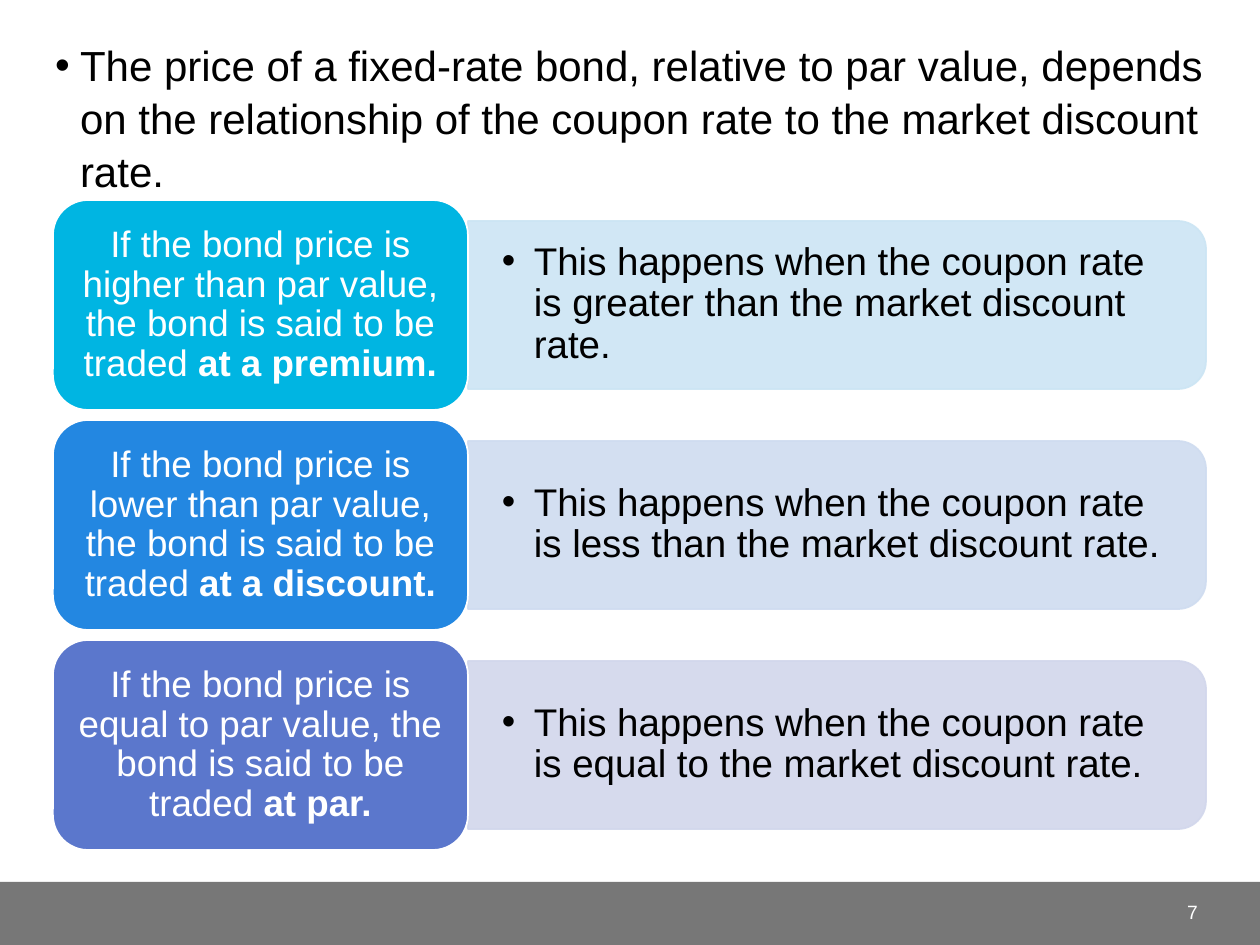
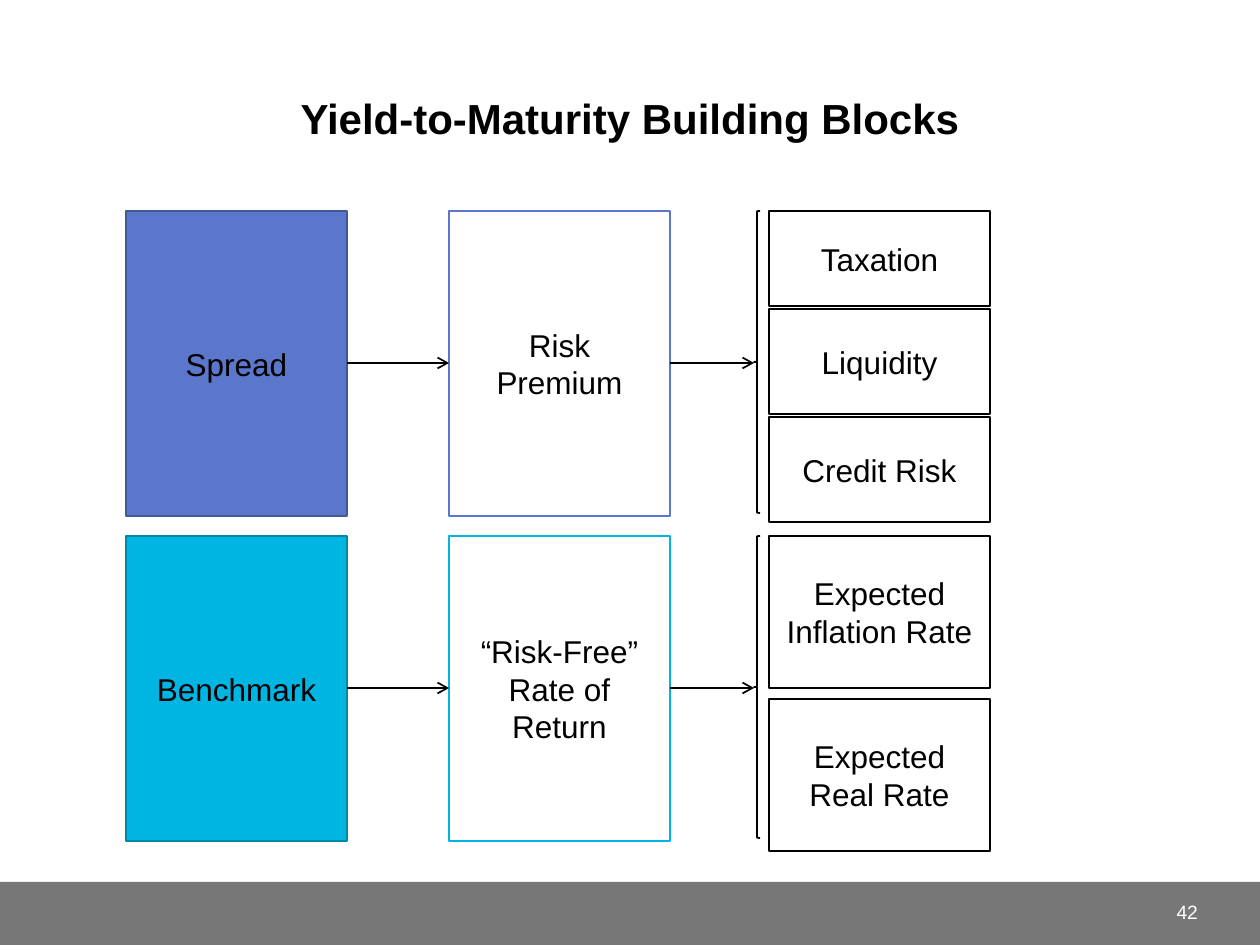
from dataclasses import dataclass
from pptx import Presentation
from pptx.dml.color import RGBColor
from pptx.enum.shapes import MSO_CONNECTOR, MSO_SHAPE
from pptx.enum.text import MSO_ANCHOR, MSO_AUTO_SIZE, PP_ALIGN
from pptx.oxml.ns import qn
from pptx.oxml.xmlchemy import OxmlElement
from pptx.util import Pt

LEFT, CENTER, RIGHT = PP_ALIGN.LEFT, PP_ALIGN.CENTER, PP_ALIGN.RIGHT
TOP, MIDDLE = MSO_ANCHOR.TOP, MSO_ANCHOR.MIDDLE
NO_AUTOFIT = MSO_AUTO_SIZE.NONE
RECTANGLE, ROUNDED = MSO_SHAPE.RECTANGLE, MSO_SHAPE.ROUNDED_RECTANGLE
TAB, BRACE = MSO_SHAPE.ROUND_2_SAME_RECTANGLE, MSO_SHAPE.LEFT_BRACE
STRAIGHT = MSO_CONNECTOR.STRAIGHT
TITLE_AND_CONTENT, TITLE_ONLY = 1, 5
EMU_PER_PX = 914400 / 126
SLIDE_WIDTH, SLIDE_HEIGHT = 1260, 945


def px(length):
    return round(length * EMU_PER_PX)


@dataclass(frozen=True)
class Theme:
    font: str = "Arial"
    black: str = "000000"
    white: str = "FFFFFF"
    band: str = "777777"
    cyan: str = "00B5E2"
    cyan_dark: str = "0086A7"
    cyan_pale: str = "CCE5F4"
    blue: str = "2387E1"
    blue_pale: str = "CFDCF0"
    indigo: str = "5B77CC"
    indigo_dark: str = "435897"
    indigo_pale: str = "D2D7EC"
    heading: int = 24
    detail: int = 22
    card: int = 21
    label: int = 18
    number: int = 11


class SlideBuilder:
    def __init__(self, deck, theme):
        self.deck = deck
        self.theme = theme
        self.page = None

    def start(self, layout, number):
        self.page = self.deck.slides.add_slide(self.deck.slide_layouts[layout])
        self.shape(RECTANGLE, (0, 882, SLIDE_WIDTH, 63), fill=self.theme.band)
        self.textbox((1102, 887, 109, 50), [(str(number), False)],
                     size=self.theme.number, color=self.theme.white, align=RIGHT)

    def set_text(self, shape, spans, size, color=None, align=CENTER, anchor=MIDDLE,
                 inset=(13, 6), spacing=1.0, hanging=0):
        frame = shape.text_frame
        across, down = map(px, inset)
        frame_format = {"word_wrap": True, "auto_size": NO_AUTOFIT,
                        "vertical_anchor": anchor,
                        "margin_left": across, "margin_right": across,
                        "margin_top": down, "margin_bottom": down}
        for name, value in frame_format.items():
            setattr(frame, name, value)
        para = frame.paragraphs[0]
        if hanging:
            self.bullet(para, hanging)
        para_format = {"alignment": align, "line_spacing": spacing,
                       "space_before": Pt(0), "space_after": Pt(0)}
        for name, value in para_format.items():
            setattr(para, name, value)
        for text, bold in spans:
            span = para.add_run()
            span.text = text
            font_format = {"name": self.theme.font, "size": Pt(size), "bold": bold}
            for name, value in font_format.items():
                setattr(span.font, name, value)
            span.font.color.rgb = RGBColor.from_string(color or self.theme.black)

    def bullet(self, para, hanging):
        properties = para._p.get_or_add_pPr()
        properties.set("marL", str(px(hanging)))
        properties.set("indent", str(-px(hanging)))
        for tag, name, value in (("a:buFont", "typeface", self.theme.font),
                                 ("a:buChar", "char", "•")):
            mark = OxmlElement(tag)
            mark.set(name, value)
            properties.append(mark)

    def placeholder(self, holder, bounds, spans, **text_format):
        for name, value in zip(("left", "top", "width", "height"), bounds):
            setattr(holder, name, px(value))
        self.set_text(holder, spans, **text_format)

    def title(self, bounds, text):
        self.placeholder(self.page.shapes.title, bounds, [(text, True)],
                         size=self.theme.heading)

    def body_only(self, bounds, text):
        title = self.page.shapes.title._element
        title.getparent().remove(title)
        self.placeholder(self.page.placeholders[1], bounds, [(text, False)],
                         size=self.theme.heading, align=LEFT, anchor=TOP,
                         spacing=1.05, hanging=25)

    def textbox(self, bounds, spans, **text_format):
        box = self.page.shapes.add_textbox(*map(px, bounds))
        self.set_text(box, spans, **text_format)

    def shape(self, kind, bounds, fill=None, line=None, opacity=100):
        shape = self.page.shapes.add_shape(kind, *map(px, bounds))
        shape.shadow.inherit = False
        for paint, color in ((shape.fill, fill), (shape.line.fill, line)):
            if color:
                paint.solid()
                paint.fore_color.rgb = RGBColor.from_string(color)
            else:
                paint.background()
        if line:
            shape.line.width = Pt(1)
        if opacity < 100:
            for color in shape._element.spPr.iter(qn("a:srgbClr")):
                alpha = OxmlElement("a:alpha")
                alpha.set("val", str(opacity * 1000))
                color.append(alpha)
        return shape

    def block(self, bounds, text, fill=None, line=None):
        box = self.shape(RECTANGLE, bounds, fill, line or self.theme.black)
        self.set_text(box, [(text, False)], size=self.theme.label, inset=(14, 6))

    def side_tab(self, bounds, color):
        left, top, width, height = bounds
        shift = (width - height) // 2
        tab = self.shape(TAB, (left + shift, top - shift, height, width),
                         color, color, opacity=90)
        tab.rotation = 90

    def arrow(self, start, end, y):
        arrow = self.page.shapes.add_connector(STRAIGHT, px(start), px(y), px(end), px(y))
        arrow.line.width = Pt(1)
        arrow.line.color.rgb = RGBColor.from_string(self.theme.black)
        head = OxmlElement("a:tailEnd")
        head.set("type", "arrow")
        properties = arrow._element.spPr
        properties.find(qn("a:ln")).append(head)
        properties.append(OxmlElement("a:effectLst"))


def price_and_coupon(builder):
    theme = builder.theme
    builder.start(TITLE_AND_CONTENT, 7)
    builder.body_only(
        (42, 31, 1180, 160),
        "The price of a fixed-rate bond, relative to par value, depends "
        "on the relationship of the coupon rate to the market discount rate.")
    cases = (
        ("higher than", "at a premium.", "greater than", theme.cyan, theme.cyan_pale),
        ("lower than", "at a discount.", "less than", theme.blue, theme.blue_pale),
        ("equal to", "at par.", "equal to", theme.indigo, theme.indigo_pale),
    )
    for row, (price, trade, coupon, strong, pale) in enumerate(cases):
        top = 200 + 220 * row
        builder.side_tab((468, top + 21, 738, 168), pale)
        builder.textbox(
            (468, top + 29, 732, 151),
            [(f"This happens when the coupon rate is {coupon} the market discount rate.",
              False)],
            size=theme.detail, align=LEFT, inset=(34, 18), spacing=0.9, hanging=32)
        card = builder.shape(ROUNDED, (53, top, 415, 210), strong, theme.white)
        builder.set_text(
            card,
            [(f"If the bond price is {price} par value, the bond is said to be traded ",
              False), (trade, True)],
            size=theme.card, color=theme.white, inset=(11, 6), spacing=0.9)


def yield_building_blocks(builder):
    theme = builder.theme
    builder.start(TITLE_ONLY, 42)
    builder.title((53, 84, 1154, 68), "Yield-to-Maturity Building Blocks")
    source_left, part_left, factor_left, brace_left = 126, 449, 769, 754
    width, height = 221, 305
    rows = (
        (211, "Spread", theme.indigo, theme.indigo_dark, "Risk Premium", 3,
         (("Taxation", 95), ("Liquidity", 105), ("Credit Risk", 105))),
        (536, "Benchmark", theme.cyan, theme.cyan_dark, "“Risk-Free” Rate of Return", 11,
         (("Expected Inflation Rate", 152), ("Expected Real Rate", 152))),
    )
    for top, source, color, edge, part, gap, factors in rows:
        builder.block((source_left, top, width, height), source, color, edge)
        builder.block((part_left, top, width, height), part, theme.white, color)
        builder.shape(BRACE, (brace_left, top, 6, 302), line=theme.black)
        factor_top = top
        for factor, factor_height in factors:
            builder.block((factor_left, factor_top, width, factor_height), factor)
            factor_top += factor_height + gap
        middle = top + height // 2
        builder.arrow(source_left + width, part_left, middle)
        builder.arrow(part_left + width, brace_left, middle)


def main():
    deck = Presentation()
    deck.slide_width, deck.slide_height = px(SLIDE_WIDTH), px(SLIDE_HEIGHT)
    builder = SlideBuilder(deck, Theme())
    price_and_coupon(builder)
    yield_building_blocks(builder)
    deck.save("out.pptx")


if __name__ == "__main__":
    main()
